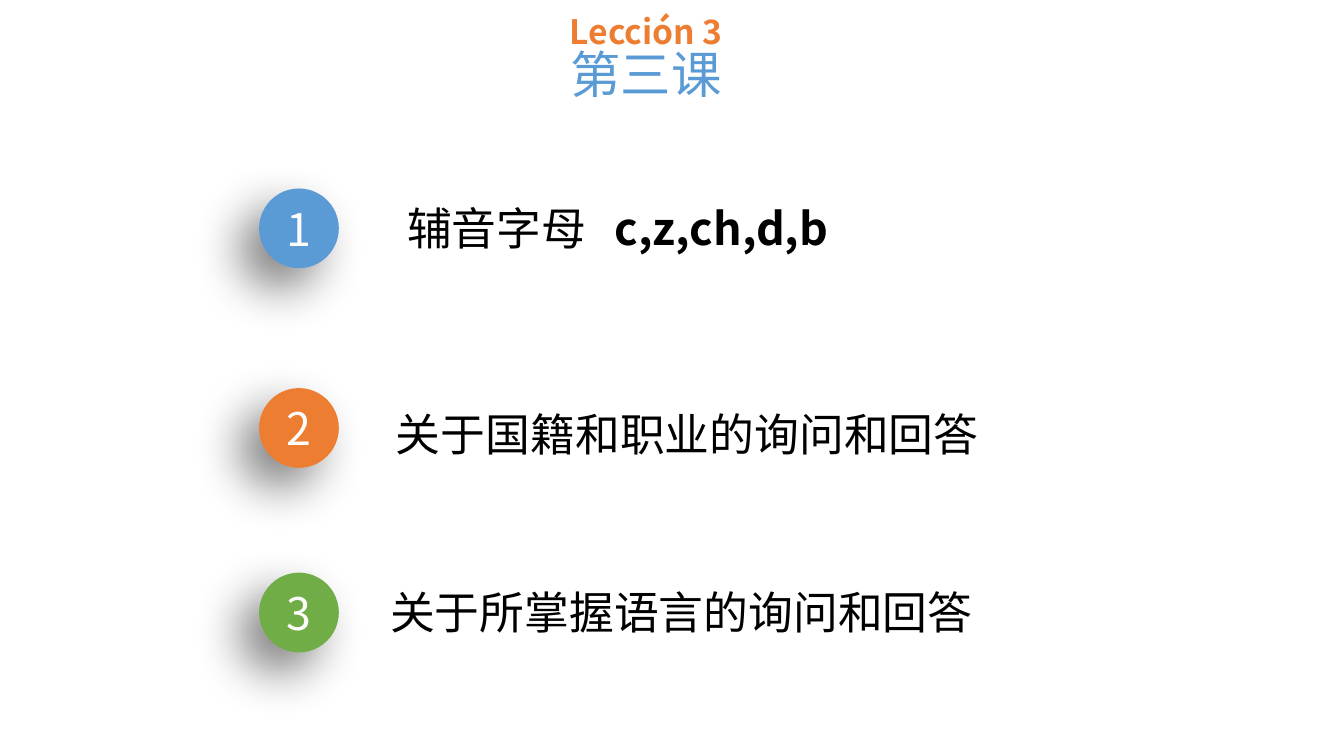
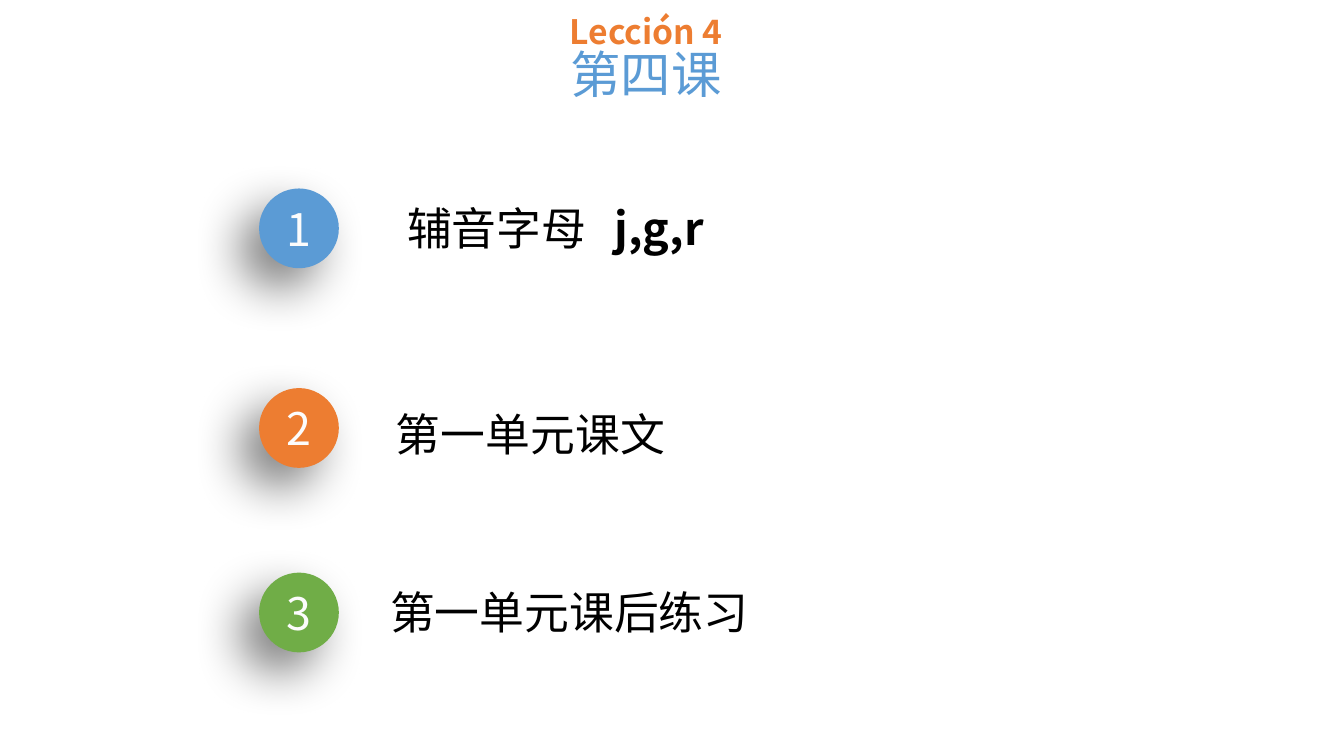
import pptx
import pptx.dml.color
import pptx.enum.shapes
import pptx.enum.text
import pptx.oxml
import pptx.oxml.ns
import pptx.util
import lxml.etree

Cm, Pt = pptx.util.Cm, pptx.util.Pt
qn = pptx.oxml.ns.qn
CENTER = pptx.enum.text.PP_ALIGN.CENTER
MIDDLE = pptx.enum.text.MSO_ANCHOR.MIDDLE

# Shared look
BLUE, ORANGE, GREEN = "5B9BD5", "ED7D31", "70AD47"
BLACK, NUMBER_COLOR = "000000", "FCFCFC"
CJK_FONT = "Noto Sans CJK SC"

# Shared rows: badge colour, badge top, label left, label top (cm)
ROWS = [
    (BLUE, 4.75, 10.01, 4.93),
    (ORANGE, 9.78, 9.73, 10.13),
    (GREEN, 14.43, 9.58, 14.6),
]
BADGE_LEFT, BADGE_SIZE = 6.53, 2.01
LABEL_WIDTH, LABEL_HEIGHT = 16, 1.63
LETTERS_TAB = 5.23

# Each lesson: Spanish title, Chinese title, labels; a tab precedes bold letters
LESSONS = [
    ("Lección 3", "第三课",
     ["辅音字母\tc,z,ch,d,b", "关于国籍和职业的询问和回答", "关于所掌握语言的询问和回答"]),
    ("Lección 4", "第四课",
     ["辅音字母\tj,g,r", "第一单元课文", "第一单元课后练习"]),
]


def rgb(value):
    return pptx.dml.color.RGBColor.from_string(value)


def style_paragraph(paragraph, size, color, font_name, bold=False):
    font = paragraph.font
    font.size, font.bold, font.name = Pt(size), bold, font_name
    font.color.rgb = rgb(color)
    defaults = paragraph._p.pPr.find(qn("a:defRPr"))
    lxml.etree.SubElement(defaults, qn("a:ea"), typeface=CJK_FONT)


def add_text_box(slide, left, top, width, height):
    box = slide.shapes.add_textbox(Cm(left), Cm(top), Cm(width), Cm(height))
    box.text_frame.word_wrap = True
    return box.text_frame


def add_title(slide, spanish, chinese):
    frame = add_text_box(slide, 3.94, 0.3, 24.69, 2.82)
    frame.text = f"{spanish}\n{chinese}"
    first, second = frame.paragraphs
    for paragraph in (first, second):
        paragraph.alignment = CENTER
        paragraph.line_spacing = 0.86
    style_paragraph(first, 24, ORANGE, CJK_FONT, bold=True)
    style_paragraph(second, 36, BLUE, "Arial")


def add_soft_shadow(shape):
    shape.shadow.inherit = False
    effects = shape._element.spPr.find(qn("a:effectLst"))
    shadow = lxml.etree.SubElement(
        effects, qn("a:outerShdw"), blurRad=str(Pt(35)), dist=str(Pt(20)),
        dir=str(135 * 60000), algn="tr", rotWithShape="0")
    color = lxml.etree.SubElement(shadow, qn("a:srgbClr"), val=BLACK)
    lxml.etree.SubElement(color, qn("a:alpha"), val="50000")


def add_badge(slide, number, top, color):
    badge = slide.shapes.add_shape(
        pptx.enum.shapes.MSO_SHAPE.OVAL,
        Cm(BADGE_LEFT), Cm(top), Cm(BADGE_SIZE), Cm(BADGE_SIZE))
    badge.fill.solid()
    badge.fill.fore_color.rgb = rgb(color)
    badge.line.fill.background()
    add_soft_shadow(badge)
    frame = badge.text_frame
    frame.vertical_anchor = MIDDLE
    frame.text = str(number)
    paragraph = frame.paragraphs[0]
    paragraph.alignment = CENTER
    style_paragraph(paragraph, 32, NUMBER_COLOR, CJK_FONT)


def add_label(slide, text, left, top):
    frame = add_text_box(slide, left, top, LABEL_WIDTH, LABEL_HEIGHT)
    paragraph = frame.paragraphs[0]
    wording, tab, letters = text.partition("\t")
    paragraph.add_run().text = wording + tab
    if letters:
        tabs = lxml.etree.SubElement(paragraph._p.get_or_add_pPr(), qn("a:tabLst"))
        lxml.etree.SubElement(tabs, qn("a:tab"), pos=str(Cm(LETTERS_TAB)), algn="l")
        run = paragraph.add_run()
        run.text = letters
        run.font.name, run.font.bold = CJK_FONT, True
    style_paragraph(paragraph, 32, BLACK, "Calibri")


def add_lesson(presentation, spanish, chinese, labels):
    slide = presentation.slides.add_slide(presentation.slide_layouts[6])
    add_title(slide, spanish, chinese)
    for number, (row, text) in enumerate(zip(ROWS, labels), 1):
        color, badge_top, label_left, label_top = row
        add_badge(slide, number, badge_top, color)
        add_label(slide, text, label_left, label_top)


def main():
    presentation = pptx.Presentation()
    presentation.slide_width, presentation.slide_height = Cm(33.87), Cm(19.05)
    for lesson in LESSONS:
        add_lesson(presentation, *lesson)
    presentation.save("out.pptx")


if __name__ == "__main__":
    main()
